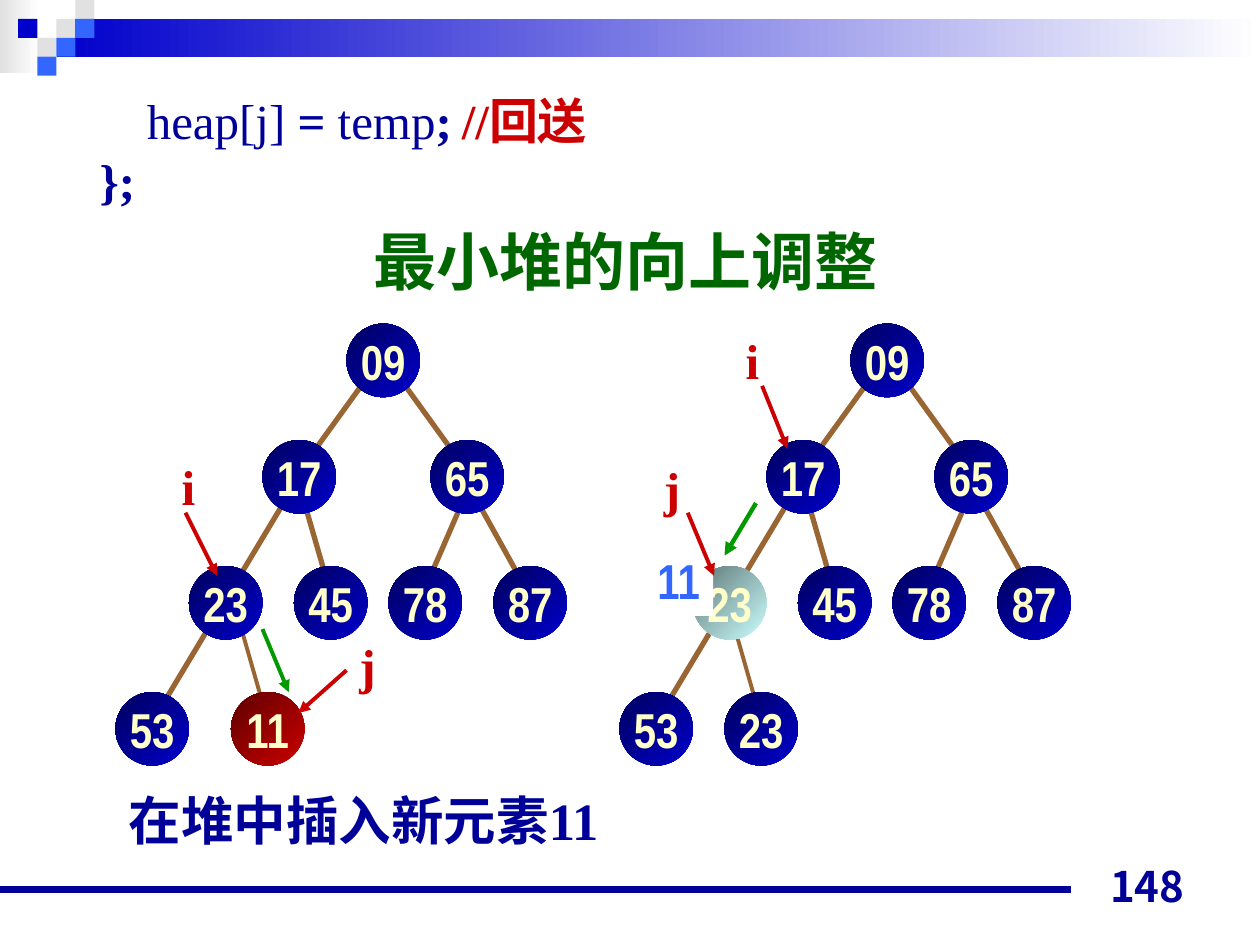
from lxml.etree import SubElement
from pptx import Presentation
from pptx.dml.color import RGBColor
from pptx.enum.shapes import MSO_CONNECTOR, MSO_SHAPE
from pptx.enum.text import MSO_ANCHOR, MSO_AUTO_SIZE, PP_ALIGN
from pptx.oxml.ns import qn
from pptx.util import Pt

NAVY, BLUE, SKY, GREY = "000099", "0000CC", "3366FF", "E1E1E1"
RED, GREEN, BROWN, CREAM = "CC0000", "009900", "996633", "FFFFCC"
SERIF, NARROW = "Times New Roman", "Arial Narrow"
DARK = (BLUE, "00005E")
PALE = ("CCFFFF", "5E7575")
WARM = (RED, "5E0000")
SIZE = 42
ROWS = [185, 251.5, 323.5, 395.5]
SHIFT = 288  # from the left tree to the right tree

# value, left, row
NODES = [("09", 198, 0), ("17", 150, 1), ("65", 246, 1), ("23", 108, 2),
         ("45", 168, 2), ("78", 222, 2), ("87", 282, 2), ("53", 66, 3)]
EDGES = [(270, 281.5, 300, 335.5), (264, 287.5, 246, 329),
         (228, 215.5, 258, 257), (174, 287.5, 186, 329),
         (210, 215.5, 180, 257), (162, 287.5, 90, 407.5)]


def hue(code):
    return RGBColor.from_string(code)


def style(run, size, color, name=SERIF, bold=True):
    font = run.font
    font.size, font.name, font.bold = Pt(size), name, bold
    font.color.rgb = hue(color)


def place(shape, left, top, width, height):
    shape.left, shape.top = Pt(left), Pt(top)
    shape.width, shape.height = Pt(width), Pt(height)


def paint(shape, fill, angle=0):
    """Fill with one colour, or with a clockwise gradient from a colour pair."""
    if isinstance(fill, str):
        shape.fill.solid()
        shape.fill.fore_color.rgb = hue(fill)
        return
    shape.fill.gradient()
    shape.fill.gradient_angle = 360 - angle
    for stop, color in zip(shape.fill.gradient_stops, fill):
        stop.color.rgb = hue(color)


def solid(slide, kind, box, fill, angle=0):
    shape = slide.shapes.add_shape(kind, *map(Pt, box))
    shape.shadow.inherit = False
    shape.line.fill.background()
    paint(shape, fill, angle)
    return shape


def write(shape, text, size, color, name=SERIF,
          align=PP_ALIGN.CENTER, anchor=MSO_ANCHOR.MIDDLE):
    frame = shape.text_frame
    frame.margin_left = frame.margin_right = 0
    frame.margin_top = frame.margin_bottom = 0
    frame.word_wrap = True
    frame.vertical_anchor = anchor
    frame.text = text
    para = frame.paragraphs[0]
    para.alignment = align
    style(para.runs[0], size, color, name)


def label(slide, text, box, size, color, **look):
    shape = slide.shapes.add_textbox(*map(Pt, box))
    write(shape, text, size, color, **look)
    return shape


def line(slide, ends, color, width, arrow=False):
    link = slide.shapes.add_connector(MSO_CONNECTOR.STRAIGHT, *map(Pt, ends))
    link.line.color.rgb = hue(color)
    link.line.width = Pt(width)
    if arrow:
        SubElement(link.line._get_or_add_ln(), qn("a:tailEnd"), type="triangle")
    SubElement(link._element.spPr, qn("a:effectLst"))


def node(slide, text, left, row, fill=DARK):
    box = (left, ROWS[row], SIZE, SIZE)
    write(solid(slide, MSO_SHAPE.OVAL, box, fill, 225), text, 28, CREAM, NARROW)


def tree(slide, shift, last, fills):
    """Draw one heap; last is the text and left of the newest node."""
    text, left = last
    for x1, y1, x2, y2 in EDGES:
        line(slide, (x1 + shift, y1, x2 + shift, y2), BROWN, 3)
    line(slide, (left + 6, 359.5, left + 18, 401.5), BROWN, 2.25)
    for value, x, row in NODES:
        node(slide, value, x + shift, row, fills.get(value, DARK))
    node(slide, text, left, 3, fills.get(text + " new", DARK))


def mark(slide, text, left, top, ends):
    """Name a position and point from the name to its node."""
    label(slide, text, (left, top, 24, 41), 28, RED)
    line(slide, ends, RED, 2.25, True)


def frame(slide):
    rect = MSO_SHAPE.RECTANGLE
    solid(slide, rect, (0, 0, 22.5, 42), ("FFFFFF", GREY), 180)
    solid(slide, rect, (32.4, 10.8, 687.6, 21.6), ("FFFFFF", BLUE), 180)
    cells = [(2, 1, GREY), (3, 0, GREY), (3, 1, SKY), (1, 2, GREY),
             (0, 1, BLUE), (2, 2, SKY), (1, 3, SKY)]
    for col, row, color in cells:
        box = (10.4 + 10.9 * col, 10.8 * row, 10.9, 10.8)
        solid(slide, rect, box, color)
    line(slide, (0, 508.3, 612, 508.3), NAVY, 4.5)
    label(slide, "148", (516, 488, 160.8, 32.5), 24, NAVY,
          name="Noto Sans CJK JP", align=PP_ALIGN.RIGHT, anchor=MSO_ANCHOR.BOTTOM)


def head(slide):
    title = slide.shapes.title
    place(title, 206.5, 132, 336, 42)
    text = title.text_frame
    text.text = "最小堆的向上调整"
    text.auto_size = MSO_AUTO_SIZE.NONE
    text.vertical_anchor = MSO_ANCHOR.TOP
    para = text.paragraphs[0]
    para.alignment = PP_ALIGN.LEFT
    para.line_spacing = 0.8
    para.space_before = Pt(0)
    style(para.runs[0], 36, "006600")


def code(slide):
    body = slide.placeholders[1]
    place(body, 49.7, 54.7, 648, 79)
    text = body.text_frame
    text.auto_size = MSO_AUTO_SIZE.NONE
    rows = [(27, [("heap[j]", NAVY, False), (" = ", NAVY, True),
                  ("temp", NAVY, False), (";\t", NAVY, True),
                  ("//回送", RED, True)]),
            (0, [("};", NAVY, True)])]
    for i, (indent, parts) in enumerate(rows):
        para = text.add_paragraph() if i else text.paragraphs[0]
        props = para._p.get_or_add_pPr()
        props.set("marL", str(Pt(indent)))
        props.set("indent", "0")
        SubElement(props, qn("a:buNone"))
        tabs = SubElement(props, qn("a:tabLst"))
        SubElement(tabs, qn("a:tab"), pos=str(Pt(432)), algn="l")
        para.line_spacing = 0.8
        para.space_before = Pt(7 * i)
        for piece, color, bold in parts:
            run = para.add_run()
            run.text = piece
            style(run, 28, color, bold=bold)


def main():
    deck = Presentation()
    deck.slide_width, deck.slide_height = Pt(720), Pt(540)
    slide = deck.slides.add_slide(deck.slide_layouts[1])
    frame(slide)
    head(slide)
    code(slide)

    tree(slide, 0, ("11", 132), {"11 new": WARM})
    mark(slide, "i", 95.6, 257, (106, 293, 124, 329))
    mark(slide, "j", 198, 359.5, (198, 383, 170.5, 407.5))
    line(slide, (150, 359.5, 165, 395.5), GREEN, 2.25, True)

    tree(slide, SHIFT, ("23", 414), {"23": PALE})
    box = (368, 311, 39.6, 41)
    patch = label(slide, "11", box, 28, SKY, name=NARROW)
    paint(patch, "FFFFFF")
    mark(slide, "i", 418, 185, (435.5, 220.5, 450, 256.5))
    mark(slide, "j", 372, 258.5, (393, 293, 408, 329))
    line(slide, (432, 287.5, 414, 317.5), GREEN, 2.5, True)

    label(slide, "在堆中插入新元素11", (62, 447, 291.6, 43), 30, NAVY)
    deck.save("out.pptx")


if __name__ == "__main__":
    main()
